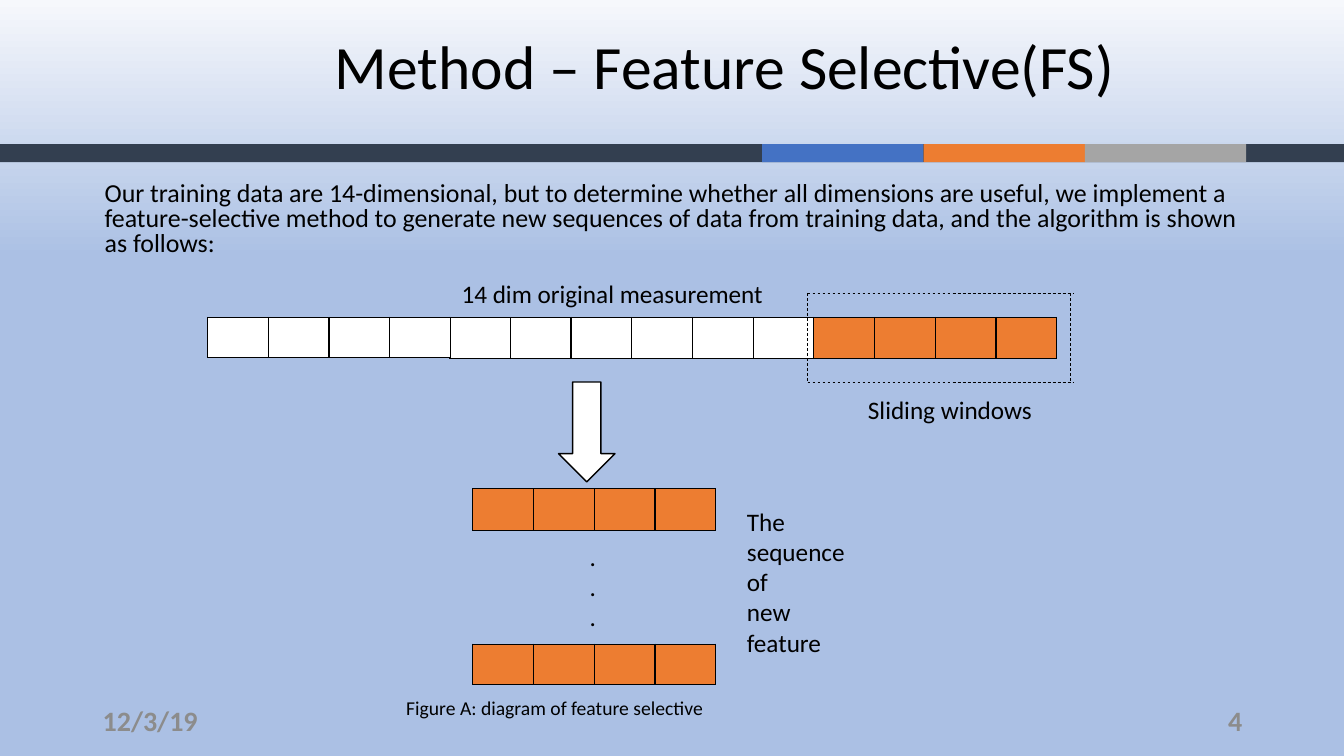
import pptx
import pptx.dml.color
import pptx.enum.dml
import pptx.enum.shapes
import pptx.enum.text
import pptx.oxml
import pptx.oxml.ns
import pptx.util
from pptx.util import Inches

RGBColor = pptx.dml.color.RGBColor
Shape = pptx.enum.shapes.MSO_SHAPE
Anchor = pptx.enum.text.MSO_ANCHOR
Align = pptx.enum.text.PP_ALIGN

BLACK = RGBColor(0x00, 0x00, 0x00)
WHITE = RGBColor(0xFF, 0xFF, 0xFF)
ORANGE = RGBColor(0xED, 0x7D, 0x31)
BLUE = RGBColor(0x44, 0x72, 0xC4)
GRAY = RGBColor(0xA5, 0xA5, 0xA5)
NAVY = RGBColor(0x33, 0x3F, 0x50)
FOOTER = RGBColor(0x8C, 0x8C, 0x8C)
SKY_STOPS = [(0, "F6F8FC"), (34, "ABC0E4"), (100, "ABC0E4"), (100, "C7D5ED")]
FONT = "Calibri"
CELL_WIDTH = 0.602


def set_background(page):
    fill = page.background.fill
    fill.gradient()
    fill.gradient_angle = 270
    stops = page.element.find(".//" + pptx.oxml.ns.qn("a:gsLst"))
    for stop in list(stops):
        stops.remove(stop)
    for percent, color in SKY_STOPS:
        stops.append(pptx.oxml.parse_xml(
            f'<a:gs {pptx.oxml.ns.nsdecls("a")} pos="{percent * 1000}">'
            f'<a:srgbClr val="{color}"/></a:gs>'))


def add_block(page, kind, left, top, width, height, color, outline=None):
    block = page.shapes.add_shape(
        kind, Inches(left), Inches(top), Inches(width), Inches(height))
    block.shadow.inherit = False
    block.fill.solid()
    block.fill.fore_color.rgb = color
    if outline is None:
        block.line.fill.background()
    else:
        block.line.color.rgb = outline
        block.line.width = pptx.util.Pt(1)


def add_text(page, left, top, width, height, lines, size=18, color=BLACK, bold=False,
             align=Align.LEFT, anchor=Anchor.TOP, spacing=None, before=None):
    box = page.shapes.add_textbox(
        Inches(left), Inches(top), Inches(width), Inches(height))
    frame = box.text_frame
    frame.word_wrap = True
    frame.vertical_anchor = anchor
    for index, line in enumerate(lines):
        para = frame.add_paragraph() if index else frame.paragraphs[0]
        para.alignment = align
        if spacing is not None:
            para.line_spacing = spacing
        if before is not None:
            para.space_before = pptx.util.Pt(before)
        span = para.add_run()
        span.text = line
        span.font.name = FONT
        span.font.size = pptx.util.Pt(size)
        span.font.bold = bold
        span.font.color.rgb = color


def add_borders(cell):
    properties = cell._tc.get_or_add_tcPr()
    for index, side in enumerate(("lnL", "lnR", "lnT", "lnB")):
        properties.insert(index, pptx.oxml.parse_xml(
            f'<a:{side} {pptx.oxml.ns.nsdecls("a")} w="12700">'
            f'<a:solidFill><a:srgbClr val="{BLACK}"/></a:solidFill></a:{side}>'))


def add_cells(page, left, top, height, colors):
    table = page.shapes.add_table(
        1, len(colors), Inches(left), Inches(top),
        Inches(CELL_WIDTH * len(colors)), Inches(height)).table
    table.first_row = False
    table.horz_banding = False
    for cell, color in zip(table.rows[0].cells, colors):
        cell.fill.solid()
        cell.fill.fore_color.rgb = color
        add_borders(cell)


def add_dashed_line(page, start_x, start_y, end_x, end_y):
    line = page.shapes.add_connector(
        pptx.enum.shapes.MSO_CONNECTOR.STRAIGHT,
        Inches(start_x), Inches(start_y), Inches(end_x), Inches(end_y))
    line.line.color.rgb = BLACK
    line.line.width = pptx.util.Pt(0.5)
    line.line.dash_style = pptx.enum.dml.MSO_LINE.DASH
    line._element.spPr.append(pptx.oxml.parse_xml(
        f'<a:effectLst {pptx.oxml.ns.nsdecls("a")}/>'))


def add_header(page):
    add_block(page, Shape.RECTANGLE, 0, 1.43, 13.33, 0.18, NAVY)
    for index, color in enumerate((BLUE, ORANGE, GRAY)):
        add_block(page, Shape.RECTANGLE, 7.56 + 1.6 * index, 1.43, 1.6, 0.18, color)
    add_text(page, 3.22, -0.04, 10.11, 1.45, ["Method – Feature Selective(FS)"],
             size=44, anchor=Anchor.MIDDLE, spacing=0.9)
    add_text(page, 0.94, 1.76, 11.5, 0.9, [
        "Our training data are 14-dimensional, but to determine whether all dimensions "
        "are useful, we implement a feature-selective method to generate new sequences "
        "of data from training data, and the algorithm is shown as follows:"],
        size=18.5, spacing=0.8, before=10)


def add_footer(page):
    for left, text, align in ((0.92, "12/3/19", Align.LEFT), (9.42, "4", Align.RIGHT)):
        add_text(page, left, 6.95, 3, 0.4, [text], size=20, color=FOOTER, bold=True,
                 align=align, anchor=Anchor.MIDDLE)


def add_sliding_window(page):
    left, top, right, bottom = 8.01, 2.91, 10.62, 3.79
    for level in (top, bottom):
        add_dashed_line(page, left, level, right + 0.02, level)
    for side in (left, right):
        add_dashed_line(page, side, top, side, bottom)
    add_text(page, 8.51, 3.86, 1.88, 0.4, ["Sliding windows"])


def add_diagram(page):
    window = [ORANGE] * 4
    add_cells(page, 4.46, 3.15, 0.41, [WHITE] * 6 + window)
    add_text(page, 4.48, 2.71, 3.26, 0.4, ["14 dim original measurement"])
    add_cells(page, 2.06, 3.15, 0.4, [WHITE] * 4)
    add_sliding_window(page)
    add_block(page, Shape.DOWN_ARROW, 5.54, 3.79, 0.56, 0.99, WHITE, BLACK)
    add_cells(page, 4.69, 4.85, 0.41, window)
    add_cells(page, 4.69, 6.39, 0.4, window)
    add_text(page, 5.75, 5.32, 0.39, 1.01, ["."] * 3)
    add_text(page, 7.31, 4.97, 1.4, 1.62, ["The", "sequence", "of", "new", "feature"])
    add_text(page, 3.93, 6.85, 4.58, 0.34,
             ["Figure A: diagram of feature selective"], size=14)


def main():
    deck = pptx.Presentation()
    deck.slide_width = Inches(13.33)
    deck.slide_height = Inches(7.5)
    page = deck.slides.add_slide(deck.slide_layouts[6])
    set_background(page)
    add_header(page)
    add_footer(page)
    add_diagram(page)
    deck.save("out.pptx")


if __name__ == "__main__":
    main()
